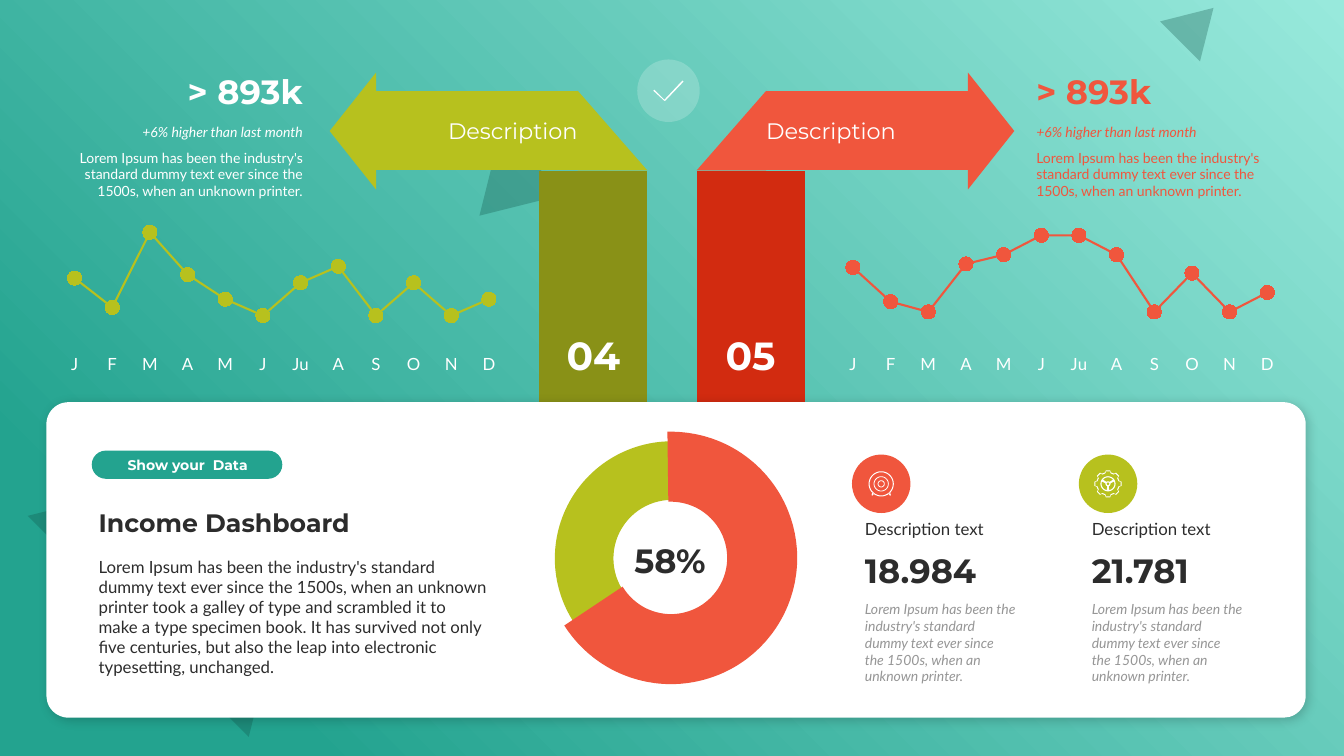
import math

import lxml.etree
import pptx
import pptx.chart.data
import pptx.dml.color
import pptx.enum.chart
import pptx.enum.shapes
import pptx.enum.text
import pptx.oxml
import pptx.oxml.ns
import pptx.util

RGB = pptx.dml.color.RGBColor
WHITE = RGB(0xFF, 0xFF, 0xFF)
INK = RGB(0x2C, 0x2C, 0x2C)
GREY = RGB(0x96, 0x96, 0x96)
TEAL = RGB(0x23, 0xA3, 0x8F)
MINT = RGB(0x98, 0xE9, 0xDC)
DEEP = RGB(0x11, 0x52, 0x48)
RED = RGB(0xF0, 0x56, 0x3D)
DARK_RED = RGB(0xD2, 0x2B, 0x10)
LIME = RGB(0xB7, 0xC1, 0x1E)
DARK_LIME = RGB(0x89, 0x91, 0x17)

Pt = pptx.util.Pt
qn = pptx.oxml.ns.qn
KIND = pptx.enum.shapes.MSO_SHAPE
ALIGN = pptx.enum.text.PP_ALIGN
ANCHOR = pptx.enum.text.MSO_ANCHOR
CHART = pptx.enum.chart.XL_CHART_TYPE

COLS, ROWS = 133.3, 75
CELL = pptx.util.Inches(0.1)

deck = pptx.Presentation()
deck.slide_width = int(COLS * CELL)
deck.slide_height = ROWS * CELL
slide = deck.slides.add_slide(deck.slide_layouts[6])


def place(shapes, kind, box, color, alpha=100, rotation=0, flip=None):
    shape = shapes.add_shape(kind, *[int(n * CELL) for n in box])
    shape.shadow.inherit = False
    shape.line.fill.background()
    shape.fill.solid()
    shape.fill.fore_color.rgb = color
    shape.rotation = rotation
    if flip:
        shape._element.spPr.xfrm.set(flip, "1")
    if alpha < 100:
        tint = shape._element.spPr.find(".//" + qn("a:srgbClr"))
        lxml.etree.SubElement(tint, qn("a:alpha"), val=str(alpha * 1000))
    return shape


def write(target, lines, name, size, color, align=ALIGN.LEFT, after=0, bold=False, italics=(False, False), **frame):
    if isinstance(target, tuple):
        target = slide.shapes.add_textbox(*[int(n * CELL) for n in target])
        frame["auto_size"] = pptx.enum.text.MSO_AUTO_SIZE.SHAPE_TO_FIT_TEXT
    words = target.text_frame
    for key, value in {"word_wrap": True, **frame}.items():
        setattr(words, key, value)
    words.text = "\n".join(lines)
    for paragraph, italic in zip(words.paragraphs, italics):
        paragraph.alignment = align
        paragraph.space_after = Pt(after)
        font = paragraph.runs[0].font
        for key, value in {"name": name, "size": Pt(size), "bold": bold, "italic": italic}.items():
            setattr(font, key, value)
        font.color.rgb = color


backdrop = place(slide.shapes, KIND.RECTANGLE, (0, 0, COLS, ROWS), MINT)
backdrop.fill.gradient()
for stop, position, color in zip(backdrop.fill.gradient_stops, (0, 0.85), (MINT, TEAL)):
    stop.position = position
    stop.color.rgb = color
glow = backdrop._element.spPr.find(qn("a:gradFill"))
glow.replace(glow.find(qn("a:lin")), pptx.oxml.parse_xml(
    f'<a:path {pptx.oxml.ns.nsdecls("a")} path="circle"><a:fillToRect l="100000" b="100000"/></a:path>'))

for box, flip in [
    ((7.3, 40.2, 31, 25.7), None),
    ((40.2, 39.3, 16.9, 14), None),
    ((45.7, 15, 9, 7.5), "flipV"),
    ((115.9, 0.1, 5.6, 4.7), None),
]:
    place(slide.shapes, KIND.ISOSCELES_TRIANGLE, box, DEEP, 30, 45, flip)

LOREM = "Lorem Ipsum has been the industry's standard dummy text ever since the 1500s, when an unknown printer"
MONTHS = ["J", "F", "M", "A", "M", "J", "Ju", "A", "S", "O", "N", "D"]

for mirrored, number, bright, dark, align, left, color, chart_left, top_value, values in [
    (False, "05", RED, DARK_RED, ALIGN.LEFT, 101.8, RED, 81.8, 117,
     (72, 42, 33, 75, 83, 100, 100, 83, 33, 67, 33, 50)),
    (True, "04", LIME, DARK_LIME, ALIGN.RIGHT, 4.9, WHITE, 4.6, 114,
     (61, 36, 100, 64, 43, 29, 57, 71, 29, 57, 29, 43)),
]:
    arrow = slide.shapes.add_group_shape().shapes
    parts = []
    for kind, (x, y, w, h), fill, turn, flip in [
        (KIND.FLOWCHART_PROCESS, (76, 9, 20, 7.9), bright, 0, None),
        (KIND.RIGHT_TRIANGLE, (69.1, 9, 6.9, 7.9), bright, 0, None if mirrored else "flipH"),
        (KIND.FLOWCHART_PROCESS, (63, 23.1, 22.9, 10.7), dark, 270, None),
        (KIND.ISOSCELES_TRIANGLE, (92.5, 10.7, 11.6, 4.6), bright, 270 if mirrored else 90, None),
    ]:
        x = COLS - x - w if mirrored else x
        parts.append(place(arrow, kind, (x, y, w, h), fill, 100, turn, flip))
    write(parts[0], ["Description"], "Montserrat", 16, WHITE, ALIGN.RIGHT if mirrored else ALIGN.LEFT,
          vertical_anchor=ANCHOR.MIDDLE, margin_left=0, margin_right=0)
    write(parts[2], [number], "Montserrat", 28, WHITE, ALIGN.CENTER, bold=True, vertical_anchor=ANCHOR.BOTTOM,
          margin_left=int(2.4 * CELL), margin_right=0, margin_top=0, margin_bottom=0)
    parts[2].text_frame._txBody.bodyPr.set("vert", "vert")

    write((left, 6.5, 26.1, 5), ["> 893k"], "Montserrat", 24, color, align, bold=True,
          vertical_anchor=ANCHOR.BOTTOM)
    write((left, 11.8, 26.1, 8.6), ["+6% higher than last month", LOREM + "."], "Lato", 10, color, align, 6,
          italics=(True, False))

    monthly = pptx.chart.data.CategoryChartData()
    monthly.categories = MONTHS
    monthly.add_series("Series 1", values)
    trend = slide.shapes.add_chart(
        CHART.LINE_MARKERS, *[int(n * CELL) for n in (chart_left, 21.1, 46.7, 16.3)], monthly).chart
    trend.has_legend = trend.has_title = False
    for key, value in {"name": "Lato", "size": Pt(12)}.items():
        setattr(trend.font, key, value)
    trend.font.color.rgb = WHITE
    for key, value in {"minimum_scale": 0, "maximum_scale": top_value,
                       "has_major_gridlines": False, "visible": False}.items():
        setattr(trend.value_axis, key, value)
    trend.category_axis.major_tick_mark = pptx.enum.chart.XL_TICK_MARK.NONE
    trend.category_axis.format.line.fill.background()
    trend.plots[0].vary_by_categories = False
    income = trend.plots[0].series[0]
    income.smooth = False
    income.format.line.width = Pt(1.5)
    income.format.line.color.rgb = bright
    income.marker.style = pptx.enum.chart.XL_MARKER_STYLE.CIRCLE
    income.marker.size = 10
    income.marker.format.fill.solid()
    income.marker.format.fill.fore_color.rgb = bright
    income.marker.format.line.color.rgb = bright

card = place(slide.shapes, KIND.ROUNDED_RECTANGLE, (4.6, 39.9, 124.9, 31.3), WHITE)
card.adjustments[0] = 0.07
card._element.spPr.find(qn("a:effectLst")).append(pptx.oxml.parse_xml(
    f'<a:outerShdw {pptx.oxml.ns.nsdecls("a")} blurRad="{Pt(8)}" dist="{Pt(3)}" dir="2700000" algn="tl" '
    'rotWithShape="0"><a:srgbClr val="000000"><a:alpha val="20000"/></a:srgbClr></a:outerShdw>'))

write((8.8, 54.7, 40.5, 13.1),
      [LOREM + " took a galley of type and scrambled it to make a type specimen book. It has survived not only "
       "five centuries, but also the leap into electronic typesetting, unchanged."], "Lato", 12, INK, after=6)
write((8.8, 49.8, 40.5, 4), ["Income Dashboard"], "Montserrat", 18, INK, bold=True, vertical_anchor=ANCHOR.BOTTOM)
pill = place(slide.shapes, KIND.ROUNDED_RECTANGLE, (9.1, 44.7, 18.9, 2.8), TEAL)
pill.adjustments[0] = 0.5
write((9.9, 44.8, 17.4, 2.7), ["Show your  Data"], "Montserrat", 10, WHITE, ALIGN.CENTER, bold=True,
      vertical_anchor=ANCHOR.MIDDLE)

shares = pptx.chart.data.CategoryChartData()
shares.categories = ["1", "2"]
shares.add_series("Series 1", (66, 34))
ring = slide.shapes.add_chart(CHART.DOUGHNUT, *[int(n * CELL) for n in (50.4, 42.4, 32.5, 26)], shares).chart
ring.has_legend = ring.has_title = False
for key, value in {"name": "Lato", "size": Pt(10)}.items():
    setattr(ring.font, key, value)
ring.font.color.rgb = INK
for index, color in enumerate((TEAL, LIME)):
    slice_fill = ring.plots[0].series[0].points[index].format.fill
    slice_fill.solid()
    slice_fill.fore_color.rgb = color

sweep = place(slide.shapes, KIND.ARC, (57.5, 46.3, 18.1, 18.1), RED)
sweep.fill.background()
sweep.line.color.rgb = RED
sweep.line.width = Pt(50)
sweep.adjustments[0], sweep.adjustments[1] = 160.84, 88.88
write((60.8, 53.1, 11.3, 5), ["58%"], "Montserrat", 24, INK, ALIGN.CENTER, bold=True, vertical_anchor=ANCHOR.MIDDLE)

for left, total in [(84.8, "18.984"), (107.3, "21.781")]:
    write((left, 54, 16.9, 5), [total], "Montserrat", 24, INK, bold=True, vertical_anchor=ANCHOR.BOTTOM)
    write((left, 51, 16.9, 3), ["Description text"], "Lato", 12, INK, vertical_anchor=ANCHOR.BOTTOM)
    write((left, 59.1, 16.9, 9.4), [LOREM + "."], "Lato", 10, GREY, italics=(True,))

tick = [[(1.5, 180), (1.08, 112), (1.04, 107), (1.75, 329), (1.72, 324), (0.98, 114), (1.4, 184)]]
target = [[(radius, a) for a in range(0, 360, 10)] for radius in (1.25, 1.15, 0.75, 0.67, 0.35, 0.27)]
foot = [(1.2, 137), (1.45, 131), (1.5, 127), (1.2, 126)]
target += [foot, [(radius, 180 - a) for radius, a in foot]]
gear = [[(radius - inset, a + turn) for a in range(0, 360, 45)
         for radius, turn in ((1.17, -14), (1.36, -9), (1.36, 9), (1.17, 14))] for inset in (0, 0.1)]
gear += [[(radius, a) for a in range(0, 360, 10)] for radius in (0.75, 0.13)]
gear += [[(0.64, middle + a) for a in range(-50, 51, 10)] + [(0.25, middle + a) for a in range(40, -41, -10)]
         for middle in (30, 150, 270)]

for left, top, size, color, alpha, contours in [
    (63.2, 5.9, 6.2, WHITE, 20, tick),
    (84.5, 45.1, 5.8, RED, 100, target),
    (107, 45.1, 5.8, LIME, 100, gear),
]:
    place(slide.shapes, KIND.OVAL, (left, top, size, size), color, alpha)
    outlines = [[(int((left + size / 2 + r * math.cos(math.radians(a))) * CELL),
                  int((top + size / 2 + r * math.sin(math.radians(a))) * CELL)) for r, a in contour]
                for contour in contours]
    builder = slide.shapes.build_freeform(*outlines[0][0])
    for outline in outlines:
        builder.move_to(*outline[0])
        builder.add_line_segments(outline[1:], close=True)
    icon = builder.convert_to_shape()
    icon.shadow.inherit = False
    icon.line.fill.background()
    icon.fill.solid()
    icon.fill.fore_color.rgb = WHITE

deck.save("out.pptx")
